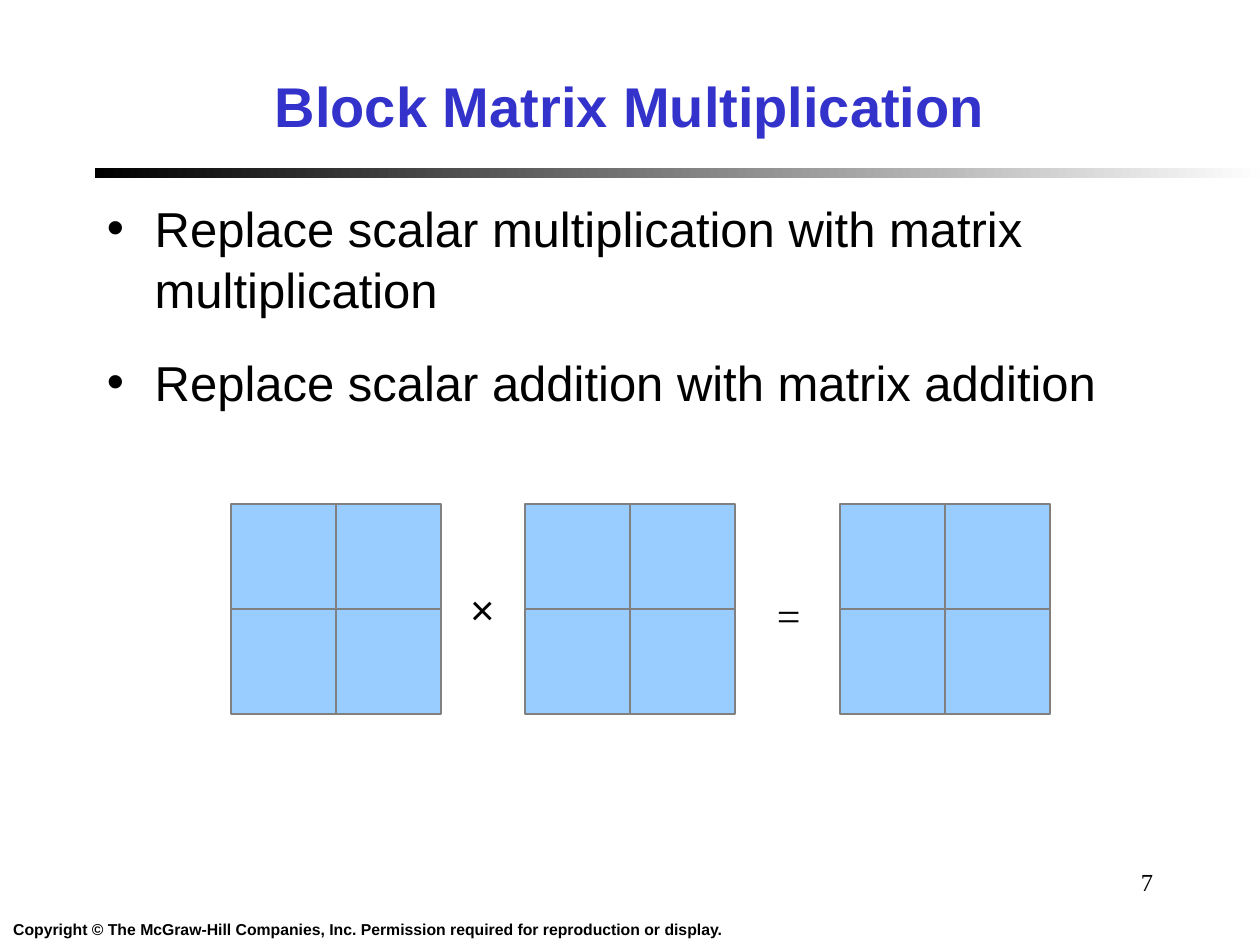
from lxml import etree
from pptx import Presentation, util as u
from pptx.dml.color import RGBColor
from pptx.enum import shapes, text
from pptx.oxml.ns import qn

BLACK = RGBColor(0x00, 0x00, 0x00)
FADE = RGBColor(0xFE, 0xFE, 0xFE)
TITLE_BLUE = RGBColor(0x33, 0x33, 0xCC)
BLOCK_BLUE = RGBColor(0x99, 0xCC, 0xFF)
BLOCK_EDGE = RGBColor(0x80, 0x80, 0x80)
SANS, SERIF = "Arial", "Times New Roman"
COLUMNS, ROWS = 12, 9


class BlockSlide:
    def __init__(self, deck):
        self.slide = deck.slides.add_slide(deck.slide_layouts[5])
        self.column = deck.slide_width / COLUMNS
        self.row = deck.slide_height / ROWS

    def place(self, left, top, width, height):
        return (round(left * self.column), round(top * self.row),
                round(width * self.column), round(height * self.row))

    def style(self, paragraph, size, face=SANS, color=BLACK, bold=False):
        font = paragraph.font
        font.size, font.name, font.bold = u.Pt(size), face, bold
        font.color.rgb = color

    def title(self, wording, *cell):
        heading = self.slide.shapes.title
        heading.left, heading.top, heading.width, heading.height = self.place(*cell)
        frame = heading.text_frame
        frame.text = wording
        frame.vertical_anchor = text.MSO_ANCHOR.MIDDLE
        frame.paragraphs[0].alignment = text.PP_ALIGN.CENTER
        self.style(frame.paragraphs[0], 32, color=TITLE_BLUE, bold=True)

    def label(self, wording, *cell, size, face=SANS, bold=False,
              align=text.PP_ALIGN.LEFT, wrap=False):
        frame = self.slide.shapes.add_textbox(*self.place(*cell)).text_frame
        frame.word_wrap = wrap
        frame.text = wording
        frame.paragraphs[0].alignment = align
        self.style(frame.paragraphs[0], size, face, bold=bold)

    def bullets(self, points, *cell):
        frame = self.slide.shapes.add_textbox(*self.place(*cell)).text_frame
        frame.word_wrap = True
        for number, point in enumerate(points):
            paragraph = frame.add_paragraph() if number else frame.paragraphs[0]
            paragraph.text = point
            paragraph.line_spacing = 1.05
            paragraph.space_before = u.Pt(17.5 if number else 0)
            properties = paragraph._p.get_or_add_pPr()
            properties.set("marL", str(u.Inches(0.38)))
            properties.set("indent", str(u.Inches(-0.38)))
            etree.SubElement(properties, qn("a:buFont")).set("typeface", SANS)
            etree.SubElement(properties, qn("a:buChar")).set("char", "•")
            self.style(paragraph, 28)

    def rectangle(self, *cell):
        shape = self.slide.shapes.add_shape(
            shapes.MSO_SHAPE.RECTANGLE, *self.place(*cell))
        shape.shadow.inherit = False
        return shape

    def fading_rule(self, *cell):
        rule = self.rectangle(*cell)
        rule.line.fill.background()
        rule.fill.gradient()
        rule.fill.gradient_angle = 0
        for stop, color, position in zip(rule.fill.gradient_stops, (BLACK, FADE), (0, 1)):
            stop.color.rgb = color
            stop.position = position

    def matrix(self, left, top, order=2):
        for index in range(order * order):
            down, across = divmod(index, order)
            block = self.rectangle(left + across, top + down, 1, 1)
            block.fill.solid()
            block.fill.fore_color.rgb = BLOCK_BLUE
            block.line.color.rgb = BLOCK_EDGE
            block.line.width = u.Pt(0.75)


def main():
    deck = Presentation()
    deck.slide_width, deck.slide_height = u.Inches(10), u.Inches(7.5)
    page = BlockSlide(deck)
    page.fading_rule(0.9, 1.6, 11.1, 0.1)
    page.label("Copyright © The McGraw-Hill Companies, Inc. "
               "Permission required for reproduction or display.",
               0, 8.7, 7, 0.3, size=9, bold=True, align=text.PP_ALIGN.CENTER)
    page.title("Block Matrix Multiplication", 0.3, 0.4, 11.4, 1.2)
    page.bullets(("Replace scalar multiplication with matrix multiplication",
                  "Replace scalar addition with matrix addition"),
                 0.9, 1.8, 10.2, 6.2)
    for left in (2.2, 5, 8):
        page.matrix(left, 4.8)
    page.label("×", 4.36, 5.5, 0.55, 0.6, size=24)
    page.label("=", 7.28, 5.56, 0.47, 0.6, size=24, face=SERIF)
    page.label("7", 8.6, 8.2, 2.5, 0.6, size=14, face=SERIF,
               align=text.PP_ALIGN.RIGHT, wrap=True)
    deck.save("out.pptx")


if __name__ == "__main__":
    main()
